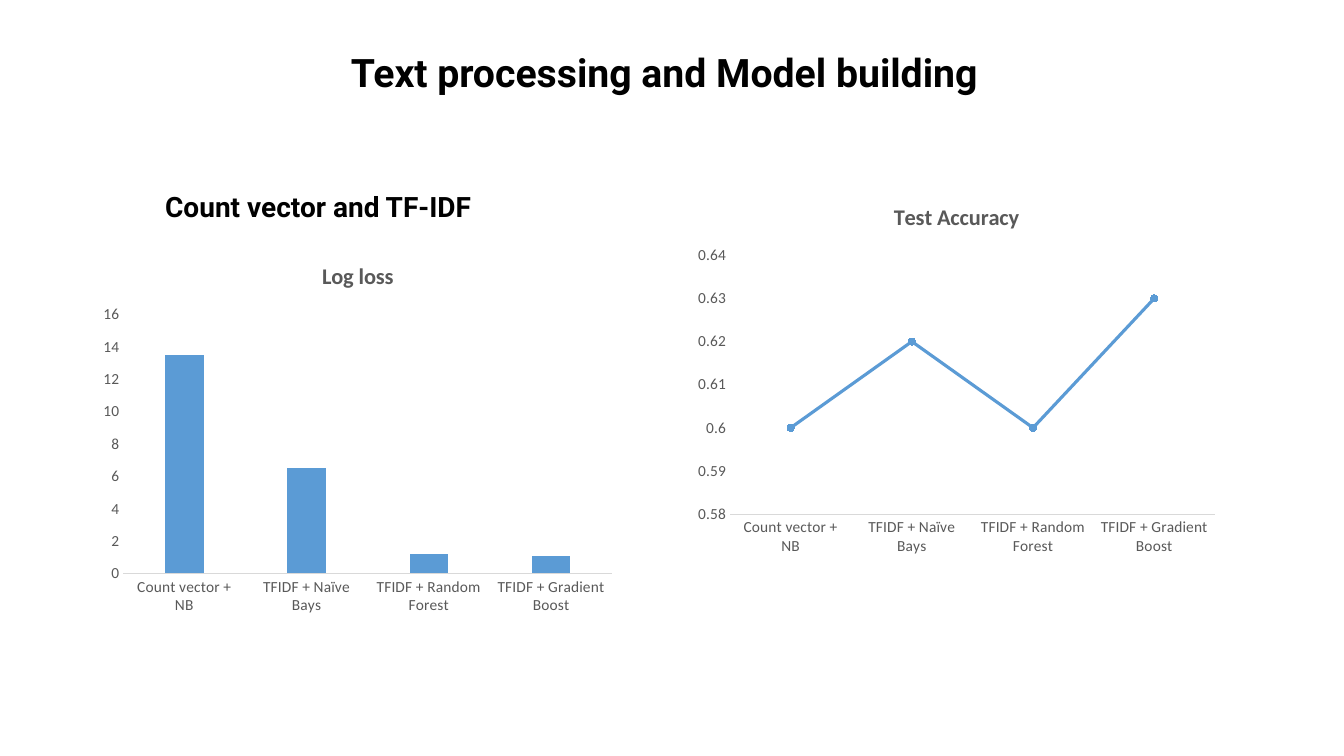
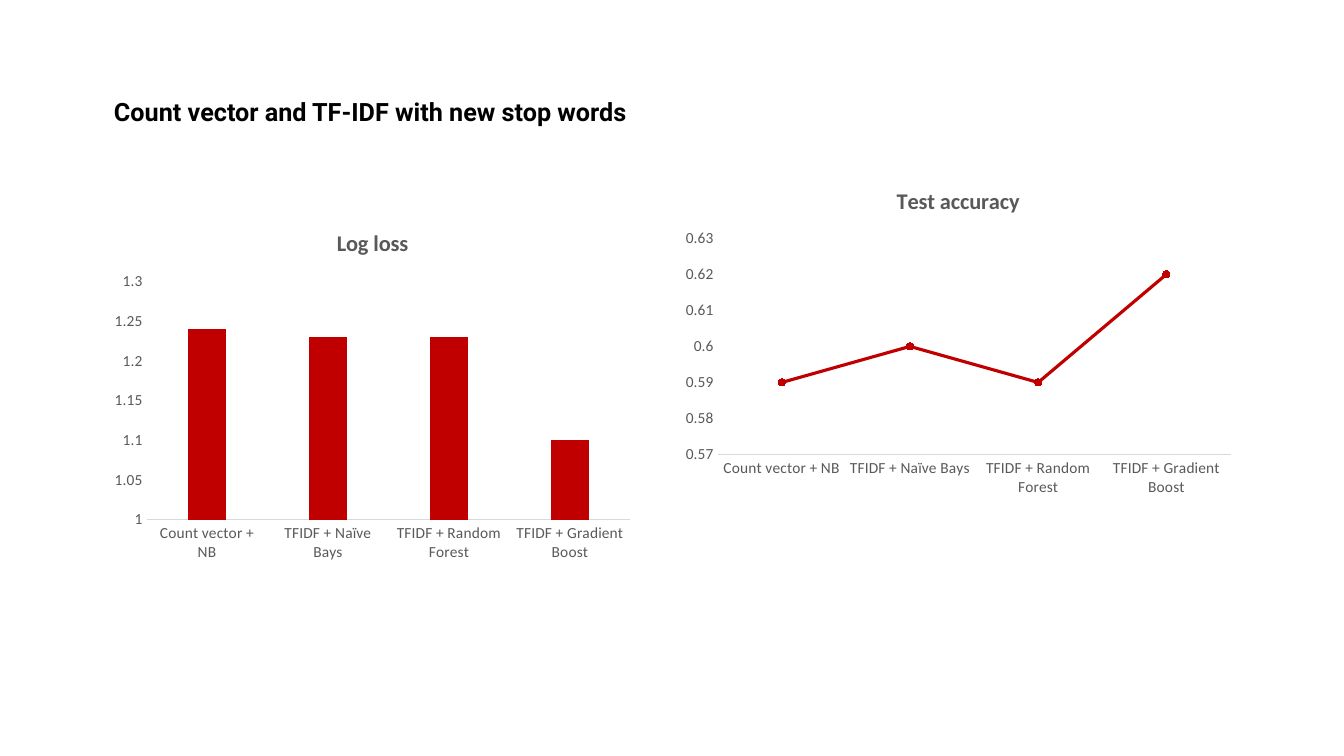
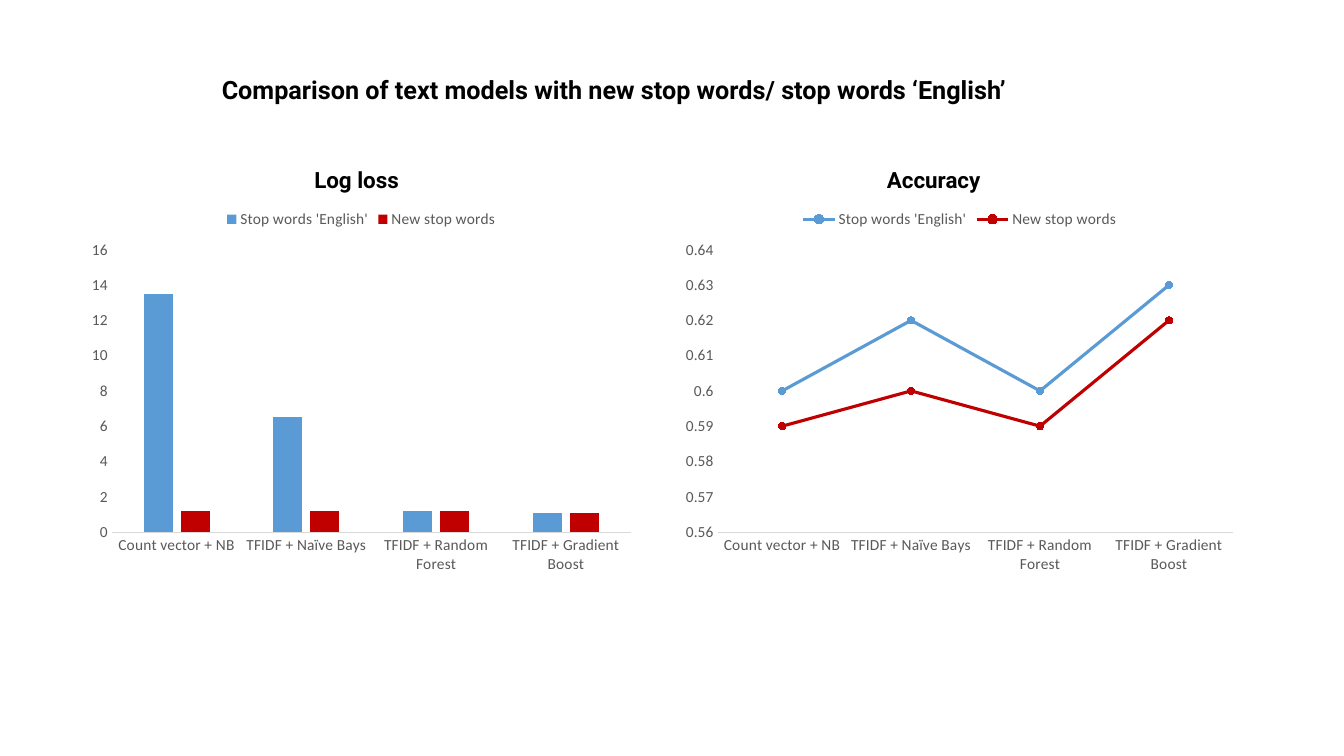
from dataclasses import dataclass
from typing import Any

from pptx import Presentation
from pptx.chart.data import CategoryChartData
from pptx.dml.color import RGBColor
from pptx.enum.chart import XL_CHART_TYPE, XL_LEGEND_POSITION, XL_MARKER_STYLE, XL_TICK_MARK
from pptx.enum.text import MSO_ANCHOR, MSO_AUTO_SIZE, PP_ALIGN
from pptx.util import Pt

COLUMN = XL_CHART_TYPE.COLUMN_CLUSTERED
LINE = XL_CHART_TYPE.LINE_MARKERS
LEGEND_TOP = XL_LEGEND_POSITION.TOP
CIRCLE = XL_MARKER_STYLE.CIRCLE
NO_TICK = XL_TICK_MARK.NONE
TOP = MSO_ANCHOR.TOP
FIXED = MSO_AUTO_SIZE.NONE
LEFT = PP_ALIGN.LEFT

TITLE_ONLY = 5
BLACK, GREY, PALE, BLUE, RED = "000000", "595959", "D9D9D9", "5B9BD5", "C00000"
HEADING_FORMAT = {"name": "Roboto", "bold": True}
CHART_FORMAT = {"name": "Calibri", "size": Pt(11), "bold": False}
CHART_TITLE_FORMAT = {"name": "Calibri", "size": Pt(16), "bold": True}
FRAME_FORMAT = {"word_wrap": True, "auto_size": FIXED, "vertical_anchor": TOP}
COLUMN_FORMAT = {"gap_width": 219, "overlap": -27, "vary_by_categories": False}
LINE_FORMAT = {"vary_by_categories": False}
MARKER_FORMAT = {"style": CIRCLE, "size": 5}
CATEGORIES = ("Count vector + NB", "TFIDF + Naïve Bays", "TFIDF + Random Forest", "TFIDF + Gradient Boost")
ENGLISH_LOSS = (13.5, 6.5, 1.2, 1.1)
ENGLISH_ACCURACY = (0.6, 0.62, 0.6, 0.63)
NEW_ACCURACY = (0.59, 0.6, 0.59, 0.62)
ENGLISH_NAME, NEW_NAME = "Stop words 'English'", "New stop words"


@dataclass(frozen=True)
class Box:
    left: float
    top: float
    width: float
    height: float

    def lengths(self) -> tuple[Pt, Pt, Pt, Pt]:
        return Pt(self.left), Pt(self.top), Pt(self.width), Pt(self.height)


@dataclass(frozen=True)
class Heading:
    text: str
    box: Box
    size: float
    spacing: float = 1.0


@dataclass(frozen=True)
class Series:
    name: str
    values: tuple[float, ...]
    color: str


@dataclass(frozen=True)
class Scale:
    minimum: float
    maximum: float
    step: float


@dataclass(frozen=True)
class Graph:
    kind: Any
    box: Box
    scale: Scale
    series: tuple[Series, ...]


@dataclass(frozen=True)
class Page:
    title: Heading
    labels: tuple[Heading, ...]
    graphs: tuple[Graph, ...]


PAGES = (
    Page(
        Heading("Text processing and Model building", Box(243.4, 28.8, 495.4, 41.8), 28, 1.07),
        (Heading("Count vector and TF-IDF", Box(110.9, 131.8, 249.8, 31.7), 20),),
        (
            Graph(COLUMN, Box(66.2, 174.2, 378.7, 270.7), Scale(0, 16, 2),
                  (Series("Log loss", ENGLISH_LOSS, BLUE),)),
            Graph(LINE, Box(491, 131.8, 384.5, 270.7), Scale(0.58, 0.64, 0.01),
                  (Series("Test Accuracy", ENGLISH_ACCURACY, BLUE),)),
        ),
    ),
    Page(
        Heading("Count vector and TF-IDF with new stop words", Box(74.2, 65.5, 410.4, 28.8), 18),
        (),
        (
            Graph(COLUMN, Box(74.2, 151.2, 383.8, 254.9), Scale(1, 1.3, 0.05),
                  (Series("Log loss", (1.24, 1.23, 1.23, 1.1), RED),)),
            Graph(LINE, Box(481.7, 121, 405.4, 238.3), Scale(0.57, 0.63, 0.01),
                  (Series("Test accuracy", NEW_ACCURACY, RED),)),
        ),
    ),
    Page(
        Heading("Comparison of text models with new stop words/ stop words ‘English’",
                Box(151.2, 49.7, 615.6, 28.8), 18),
        (
            Heading("Log loss", Box(217.4, 115.2, 80.6, 26.6), 16),
            Heading("Accuracy", Box(626.4, 115.2, 87.1, 26.6), 16),
        ),
        (
            Graph(LINE, Box(481.7, 141.8, 407.5, 273.6), Scale(0.56, 0.64, 0.01),
                  (Series(ENGLISH_NAME, ENGLISH_ACCURACY, BLUE), Series(NEW_NAME, NEW_ACCURACY, RED))),
            Graph(COLUMN, Box(57.6, 141.8, 401, 273.6), Scale(0, 16, 2),
                  (Series(ENGLISH_NAME, ENGLISH_LOSS, BLUE), Series(NEW_NAME, (1.2, 1.2, 1.2, 1.1), RED))),
        ),
    ),
)


def apply(target: Any, values: dict[str, Any]) -> None:
    for name, value in values.items():
        setattr(target, name, value)


def paint(fill: Any, color: str) -> None:
    fill.solid()
    fill.fore_color.rgb = RGBColor.from_string(color)


def style_font(font: Any, values: dict[str, Any], color: str) -> None:
    apply(font, values)
    paint(font.fill, color)


def write_heading(shape: Any, heading: Heading) -> None:
    shape.left, shape.top, shape.width, shape.height = heading.box.lengths()
    frame = shape.text_frame
    apply(frame, FRAME_FORMAT)
    para = frame.paragraphs[0]
    apply(para, {"alignment": LEFT, "line_spacing": heading.spacing})
    span = para.add_run()
    span.text = heading.text
    style_font(span.font, HEADING_FORMAT | {"size": Pt(heading.size)}, BLACK)


def style_axes(chart: Any, scale: Scale) -> None:
    for axis in (chart.category_axis, chart.value_axis):
        apply(axis, {"major_tick_mark": NO_TICK, "minor_tick_mark": NO_TICK, "has_major_gridlines": False})
        style_font(axis.tick_labels.font, CHART_FORMAT, GREY)
    base_line = chart.category_axis.format.line
    base_line.width = Pt(0.75)
    paint(base_line.fill, PALE)
    apply(chart.value_axis, {
        "minimum_scale": scale.minimum,
        "maximum_scale": scale.maximum,
        "major_unit": scale.step,
    })
    chart.value_axis.format.line.fill.background()


def style_line(series: Any, color: str) -> None:
    series.smooth = False
    series.format.line.width = Pt(2.25)
    apply(series.marker, MARKER_FORMAT)
    for fill in (series.format.line.fill, series.marker.format.fill, series.marker.format.line.fill):
        paint(fill, color)


def style_caption(chart: Any, graph: Graph) -> None:
    single = len(graph.series) == 1
    apply(chart, {"has_title": single, "has_legend": not single})
    if single:
        frame = chart.chart_title.text_frame
        frame.text = graph.series[0].name
        style_font(frame.paragraphs[0].runs[0].font, CHART_TITLE_FORMAT, GREY)
        chart.chart_title.include_in_layout = False
    else:
        apply(chart.legend, {"position": LEGEND_TOP, "include_in_layout": False})
        style_font(chart.legend.font, CHART_FORMAT, GREY)


def draw_graph(slide: Any, graph: Graph) -> None:
    data = CategoryChartData()
    data.categories = CATEGORIES
    for item in graph.series:
        data.add_series(item.name, item.values)
    chart = slide.shapes.add_chart(graph.kind, *graph.box.lengths(), data).chart
    style_font(chart.font, CHART_FORMAT, BLACK)
    style_caption(chart, graph)
    style_axes(chart, graph.scale)
    plot = chart.plots[0]
    apply(plot, COLUMN_FORMAT if graph.kind == COLUMN else LINE_FORMAT)
    for series, item in zip(plot.series, graph.series):
        if graph.kind == LINE:
            style_line(series, item.color)
        else:
            paint(series.format.fill, item.color)


def draw_page(deck: Any, page: Page) -> None:
    slide = deck.slides.add_slide(deck.slide_layouts[TITLE_ONLY])
    write_heading(slide.shapes.title, page.title)
    for label in page.labels:
        write_heading(slide.shapes.add_textbox(*label.box.lengths()), label)
    for graph in page.graphs:
        draw_graph(slide, graph)


def main() -> None:
    deck = Presentation()
    deck.slide_width, deck.slide_height = Pt(960), Pt(540)
    for page in PAGES:
        draw_page(deck, page)
    deck.save("out.pptx")


if __name__ == "__main__":
    main()
